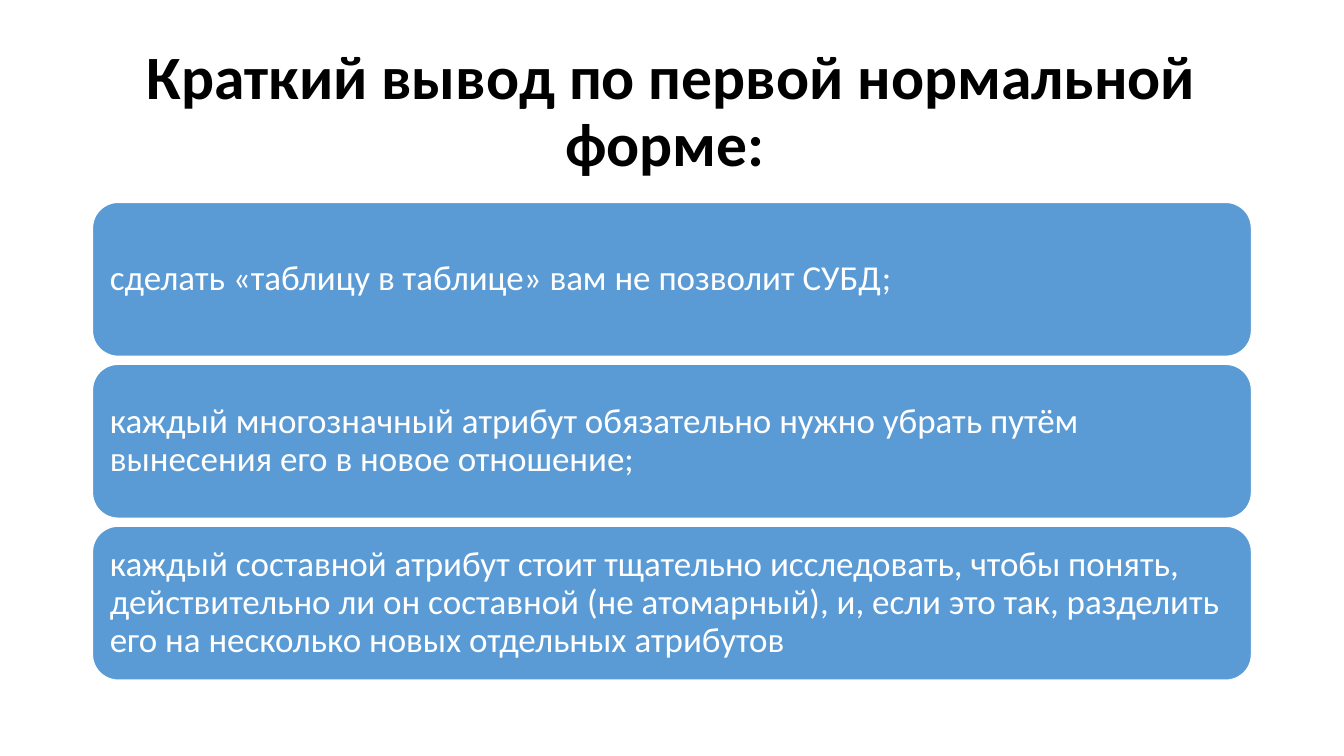
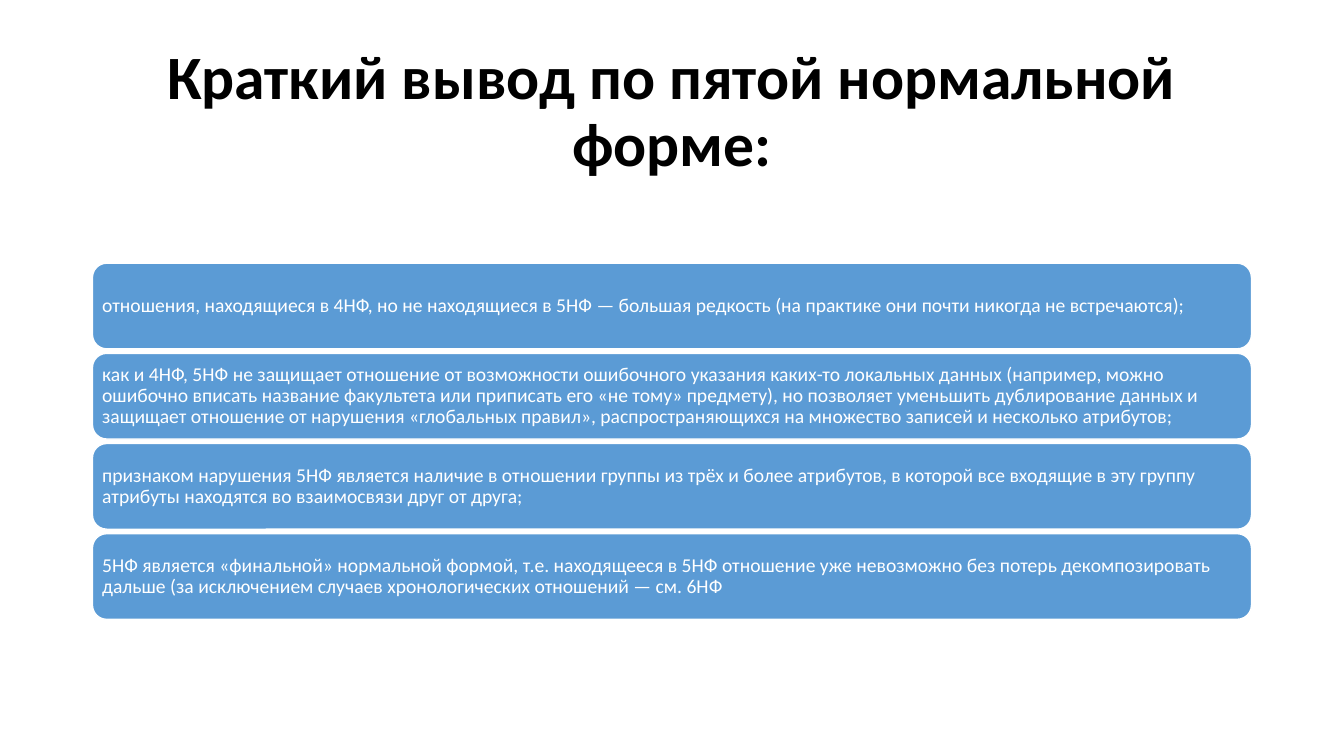
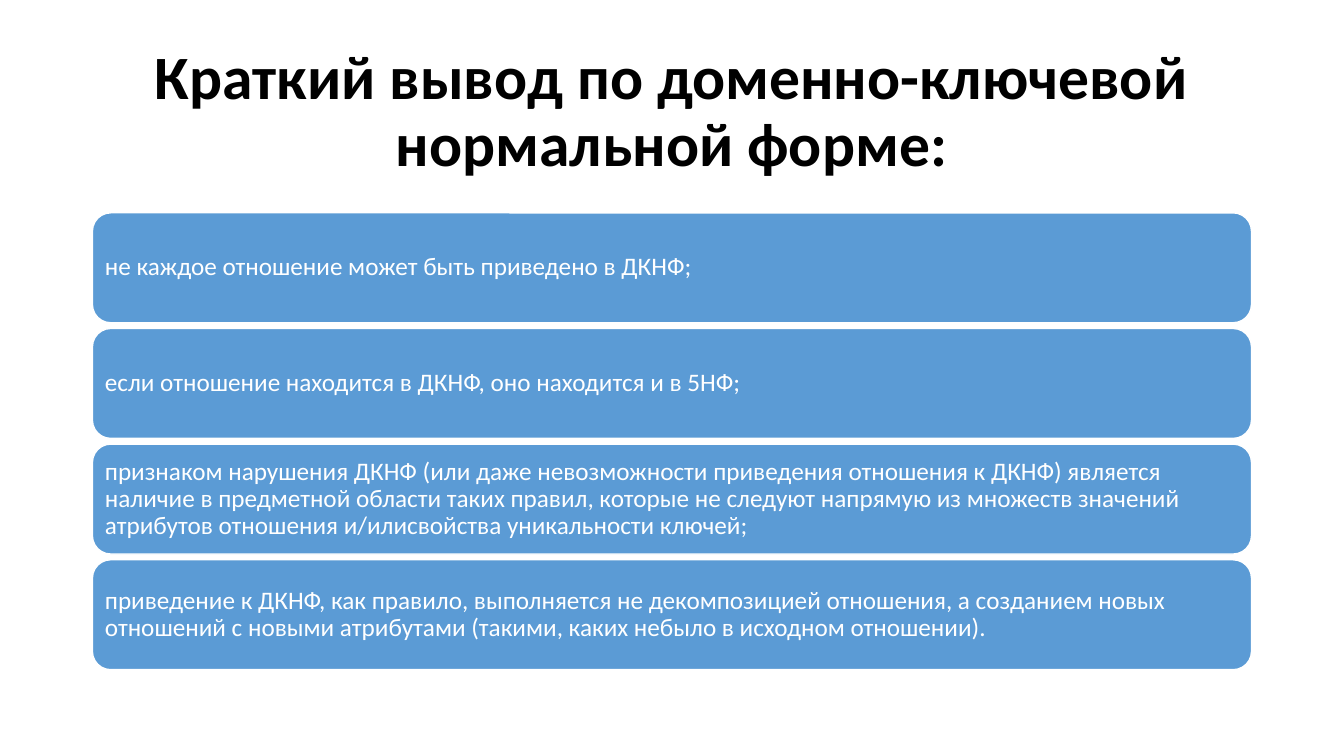
from pptx import Presentation
from pptx.dml.color import RGBColor
from pptx.enum.shapes import MSO_SHAPE as Kind
from pptx.enum.text import MSO_ANCHOR as Anchor, PP_ALIGN as Align
from pptx.util import Cm, Pt


def tint(code):
    return RGBColor.from_string(code)


class Deck:
    FONT = "Calibri"
    BLACK, WHITE, BLUE = "000000", "FFFFFF", "5B9BD5"
    LEFT, WIDTH = 2.33, 29.21
    MIDDLE = 11.12  # vertical centre of every card stack

    def __init__(self):
        self.prs = Presentation()
        self.prs.slide_width, self.prs.slide_height = Cm(33.87), Cm(19.05)
        self.slide = None

    def add(self):
        self.slide = self.prs.slides.add_slide(self.prs.slide_layouts[6])

    def label(self, frame, text, size, color, align, bold=False):
        frame.word_wrap = True
        frame.vertical_anchor = Anchor.MIDDLE
        para = frame.paragraphs[0]
        para.alignment = align
        para.line_spacing = 0.9
        run = para.add_run()
        run.text = text
        font = run.font
        font.name, font.size, font.bold = self.FONT, Pt(size), bold
        font.color.rgb = tint(color)

    def title(self, text):
        box = self.slide.shapes.add_textbox(
            Cm(self.LEFT), Cm(1.01), Cm(self.WIDTH), Cm(3.68))
        self.label(box.text_frame, text, 44, self.BLACK, Align.CENTER, True)

    def card(self, text, top, height, size):
        card = self.slide.shapes.add_shape(
            Kind.ROUNDED_RECTANGLE,
            Cm(self.LEFT), Cm(top), Cm(self.WIDTH), Cm(height))
        card.shadow.inherit = False
        card.fill.solid()
        card.fill.fore_color.rgb = tint(self.BLUE)
        card.line.color.rgb = tint(self.WHITE)
        card.line.width = Pt(1)
        frame = card.text_frame
        pad = Cm(size * 0.01)
        frame.margin_left = frame.margin_right = pad
        frame.margin_top = frame.margin_bottom = pad
        self.label(frame, text, size, self.WHITE, Align.LEFT)

    def stack(self, texts, height, size):
        # The gap grows with the text size
        step = height + size / 125
        first = self.MIDDLE - (step * (len(texts) - 1) + height) / 2
        for row, text in enumerate(texts):
            self.card(text, first + row * step, height, size)


# Title, card height, text size, card texts
SLIDES = [
    ("Краткий вывод по первой нормальной форме: ", 3.88, 25, [
        "сделать «таблицу в таблице» вам не позволит СУБД;",
        "каждый многозначный атрибут обязательно нужно убрать путём "
        "вынесения его в новое отношение;",
        "каждый составной атрибут стоит тщательно исследовать, чтобы понять, "
        "действительно ли он составной (не атомарный), и, если это так, "
        "разделить его на несколько новых отдельных атрибутов",
    ]),
    ("Краткий вывод по пятой нормальной форме:", 2.16, 14, [
        "отношения, находящиеся в 4НФ, но не находящиеся в 5НФ — большая "
        "редкость (на практике они почти никогда не встречаются);",
        "как и 4НФ, 5НФ не защищает отношение от возможности ошибочного "
        "указания каких-то локальных данных (например, можно ошибочно "
        "вписать название факультета или приписать его «не тому» предмету), "
        "но позволяет уменьшить дублирование данных и защищает отношение от "
        "нарушения «глобальных правил», распространяющихся на множество "
        "записей и несколько атрибутов;",
        "признаком нарушения 5НФ является наличие в отношении группы из трёх "
        "и более атрибутов, в которой все входящие в эту группу атрибуты "
        "находятся во взаимосвязи друг от друга;",
        "5НФ является «финальной» нормальной формой, т.е. находящееся в 5НФ "
        "отношение уже невозможно без потерь декомпозировать дальше (за "
        "исключением случаев хронологических отношений — см. 6НФ",
    ]),
    ("Краткий вывод по доменно-ключевой нормальной форме:", 2.77, 18, [
        "не каждое отношение может быть приведено в ДКНФ;",
        "если отношение находится в ДКНФ, оно находится и в 5НФ;",
        "признаком нарушения ДКНФ (или даже невозможности приведения "
        "отношения к ДКНФ) является наличие в предметной области таких "
        "правил, которые не следуют напрямую из множеств значений атрибутов "
        "отношения и/илисвойства уникальности ключей;",
        "приведение к ДКНФ, как правило, выполняется не декомпозицией "
        "отношения, а созданием новых отношений с новыми атрибутами (такими, "
        "каких небыло в исходном отношении).",
    ]),
]


def main():
    deck = Deck()
    for title, height, size, texts in SLIDES:
        deck.add()
        deck.title(title)
        deck.stack(texts, height, size)
    deck.prs.save("out.pptx")


if __name__ == "__main__":
    main()
